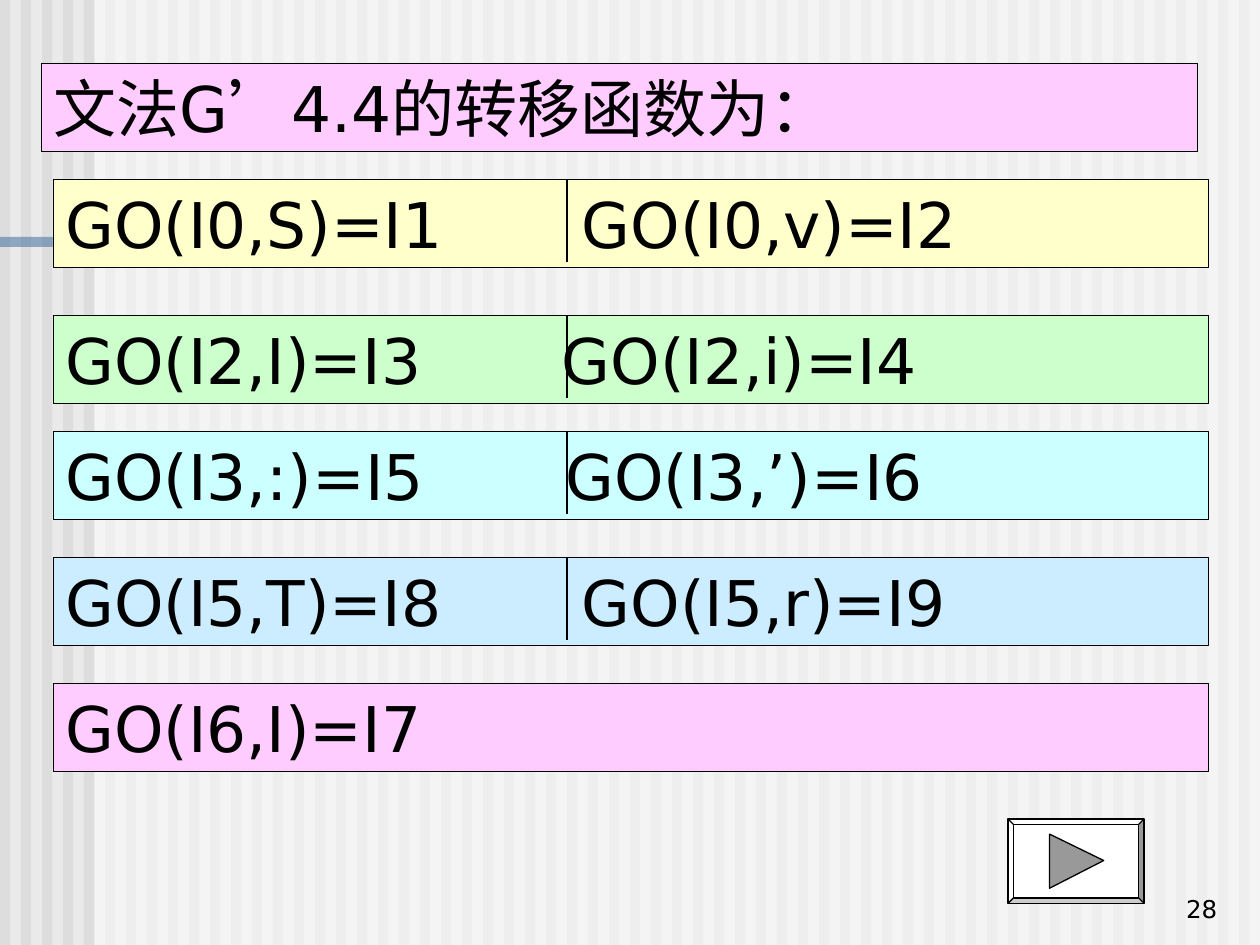
from lxml import etree
from pptx import Presentation
from pptx.dml.color import RGBColor
from pptx.enum.shapes import MSO_CONNECTOR, MSO_SHAPE
from pptx.enum.text import MSO_ANCHOR, PP_ALIGN
from pptx.oxml.ns import qn
from pptx.util import Inches, Pt

FONT = "DejaVu Sans"
BLACK = RGBColor(0x00, 0x00, 0x00)
WHITE = RGBColor(0xFF, 0xFF, 0xFF)
BACKGROUND = RGBColor(0xEA, 0xEA, 0xEA)
STRIPE = RGBColor(0xDD, 0xDD, 0xDD)
BAR_BLUE = RGBColor(0x33, 0x66, 0x99)
ARROW_GRAY = RGBColor(0x99, 0x99, 0x99)
PINK = RGBColor(0xFF, 0xCC, 0xFF)
YELLOW = RGBColor(0xFF, 0xFF, 0xCC)
GREEN = RGBColor(0xCC, 0xFF, 0xCC)
CYAN = RGBColor(0xCC, 0xFF, 0xFF)
BLUE = RGBColor(0xCC, 0xEC, 0xFF)

# top, fill, left entry, right entry, offset of the right entry
ROWS = [
    (1.42, YELLOW, "GO(I0,S)=I1", "GO(I0,v)=I2", 4.1),
    (2.5, GREEN, "GO(I2,I)=I3", "GO(I2,i)=I4", 3.94),
    (3.42, CYAN, "GO(I3,:)=I5", "GO(I3,’)=I6", 3.97),
    (4.42, BLUE, "GO(I5,T)=I8", "GO(I5,r)=I9", 4.1),
    (5.42, PINK, "GO(I6,I)=I7", None, None),
]


def paint(sp, fill, line_width=None, alpha=None):
    """Set fill, outline and optional opacity in percent; drop the shadow."""
    sp.shadow.inherit = False
    sp.fill.solid()
    sp.fill.fore_color.rgb = fill
    if alpha is not None:
        color = sp.fill._xPr.find(qn("a:solidFill"))[0]
        etree.SubElement(color, qn("a:alpha")).set("val", str(alpha * 1000))
    if line_width is None:
        sp.line.fill.background()
    else:
        sp.line.color.rgb = BLACK
        sp.line.width = Pt(line_width)


def add_box(s, left, top, width, height, fill, line_width=None, alpha=None,
            kind=MSO_SHAPE.RECTANGLE):
    """Add a painted preset shape."""
    sp = s.shapes.add_shape(kind, Inches(left), Inches(top),
                            Inches(width), Inches(height))
    paint(sp, fill, line_width, alpha)
    return sp


def write(sp, text, size, align=PP_ALIGN.LEFT, anchor=MSO_ANCHOR.TOP):
    """Write one line of black text and return its paragraph."""
    tf = sp.text_frame
    tf.word_wrap = True
    tf.vertical_anchor = anchor
    tf.text = text
    p = tf.paragraphs[0]
    p.alignment = align
    for r in p.runs:
        r.font.name = FONT
        r.font.size = Pt(size)
        r.font.color.rgb = BLACK
    return p


def add_backdrop(s, width, height):
    """Draw the striped background with its veil and accent bar."""
    s.background.fill.solid()
    s.background.fill.fore_color.rgb = BACKGROUND
    for i in range(60):
        add_box(s, i / 6, 0, 0.08, height, STRIPE)
    add_box(s, 0.75, 0, width - 0.75, height, WHITE, alpha=50)
    add_box(s, 0, 1.88, 7.6, 0.08, BAR_BLUE, alpha=50)


def add_band(s, left, top, fill, text, tab=None):
    """Draw a coloured band of text, with a tab stop for a second column."""
    sp = add_box(s, left, top, 9.17, 0.7, fill, 0.26)
    p = write(sp, text, 36)
    if tab is not None:
        stops = etree.SubElement(p._p.get_or_add_pPr(), qn("a:tabLst"))
        etree.SubElement(stops, qn("a:tab"), pos=str(Inches(tab)), algn="l")


def add_divider(s, x, top):
    """Draw the vertical line between the two entries of a row."""
    line = s.shapes.add_connector(MSO_CONNECTOR.STRAIGHT, Inches(x), Inches(top),
                                  Inches(x), Inches(top + 0.66))
    line.line.color.rgb = BLACK
    line.line.width = Pt(0.74)
    etree.SubElement(line._element.spPr, qn("a:effectLst"))


def add_rows(s, left):
    """Draw the transfer function rows, then their dividers."""
    for top, fill, first, second, tab in ROWS:
        add_band(s, left, top, fill, f"{first}\t{second}" if second else first, tab)
    for top, _, _, second, _ in ROWS:
        if second:
            add_divider(s, left + 4.08, top)


def add_next_button(s, left, top, width, height):
    """Draw a bevelled button with a triangle pointing right."""
    button = add_box(s, left, top, width, height, WHITE, 0.74, kind=MSO_SHAPE.BEVEL)
    button.adjustments[0] = 0.0625
    x, y = left + 0.33, top + 0.12
    fb = s.shapes.build_freeform(Inches(x), Inches(y))
    fb.add_line_segments([(Inches(x + 0.43), Inches(y + 0.21)),
                          (Inches(x), Inches(y + 0.43))], close=True)
    paint(fb.convert_to_shape(), ARROW_GRAY, 0.74)


def add_page_number(s, left, top, width, height):
    """Write the page number at the lower right."""
    sp = s.shapes.add_textbox(Inches(left), Inches(top), Inches(width), Inches(height))
    write(sp, "28", 14, PP_ALIGN.RIGHT, MSO_ANCHOR.BOTTOM)


prs = Presentation()
prs.slide_width, prs.slide_height = Inches(10), Inches(7.5)
s = prs.slides.add_slide(prs.slide_layouts[6])
add_backdrop(s, 10, 7.5)
add_band(s, 0.33, 0.5, PINK, "文法G’4.4的转移函数为：")
add_rows(s, 0.42)
add_next_button(s, 8, 6.5, 1.08, 0.67)
add_page_number(s, 7.68, 6.88, 2.08, 0.5)
prs.save("out.pptx")
